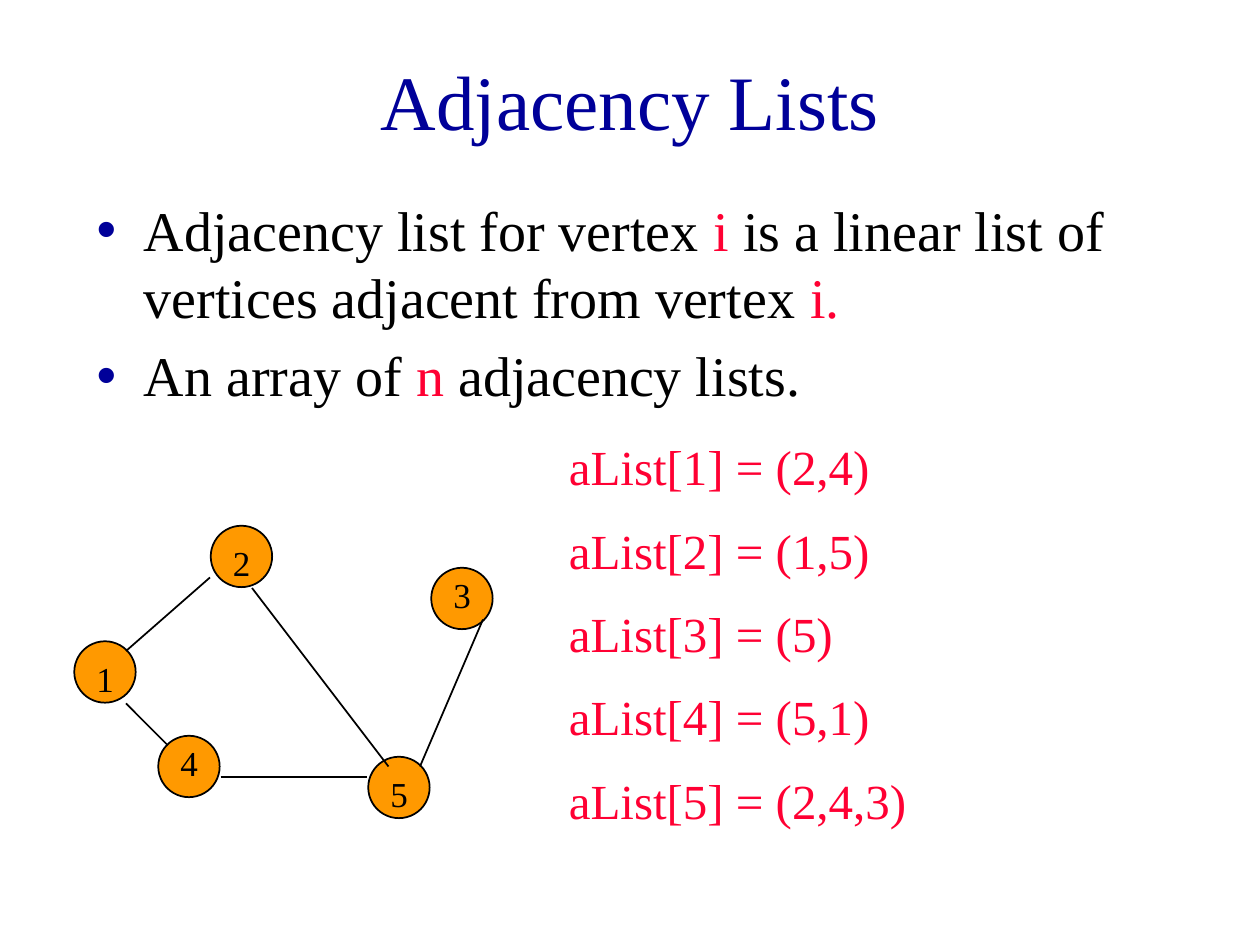
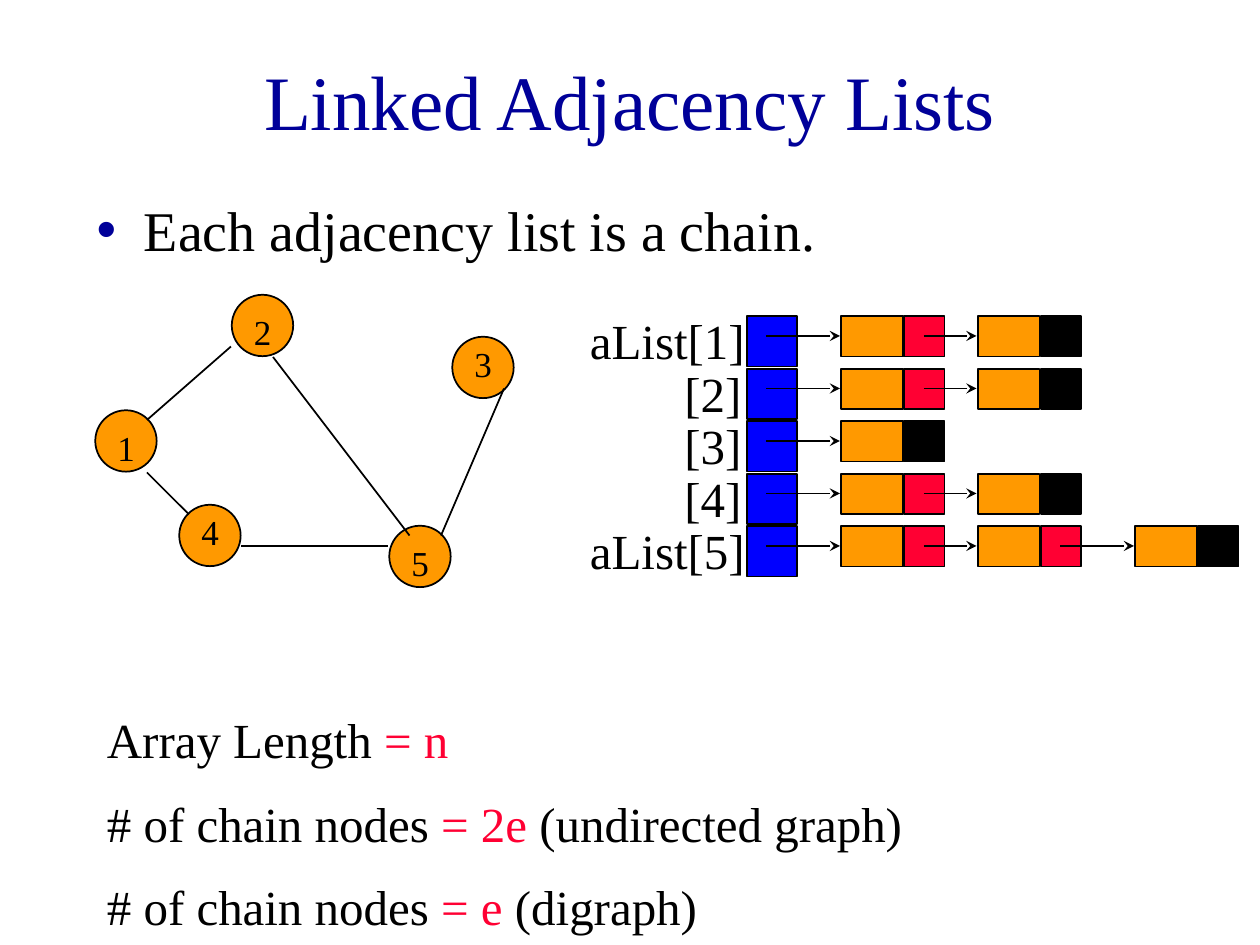
from dataclasses import dataclass

from lxml.etree import SubElement
from pptx import Presentation
from pptx.dml.color import RGBColor
from pptx.enum.shapes import MSO_CONNECTOR, MSO_SHAPE
from pptx.enum.text import MSO_ANCHOR, MSO_AUTO_SIZE, PP_ALIGN
from pptx.oxml.ns import qn
from pptx.util import Inches, Pt


@dataclass(frozen=True)
class Theme:
    font: str = "Times New Roman"
    ink: str = "000000"
    navy: str = "000099"
    red: str = "FF0033"
    gold: str = "FF9900"
    blue: str = "0000FF"
    head: int = 44
    lead: int = 32
    text: int = 28
    small: int = 20


LOOK = Theme()
COLS, ROWS = 120, 90
DISC = 5.85  # diameter of a vertex, in columns
INSET = 0.12  # gap from a grid line to the edge of a cell

LISTS = [(2, 4), (1, 5), (5,), (5, 1), (2, 4, 3)]
# vertex: centre column, centre row, rows from centre up to its label
NODES = {1: (10, 64, 2), 2: (23, 53, 2), 3: (44, 57, 3),
         4: (18, 73, 3), 5: (38, 75, 2)}
EDGES = [(20, 55, 12, 62), (24, 56, 37, 73), (12, 67, 16, 71),
         (46, 59, 40, 73), (21, 74, 35, 74)]
CELLS = [80, 93, 108]  # left columns of the chain nodes


def rgb(code):
    return RGBColor.from_string(code)


def write(frame, lines, size=LOOK.text, color=LOOK.ink, accent=LOOK.red,
          gap=0.5, align=PP_ALIGN.LEFT, dot=None):
    """Fill a frame; each "|" in a line switches between color and accent.

    gap is the space between paragraphs as a share of the type size.
    """
    frame.word_wrap = True
    for n, line in enumerate(lines):
        para = frame.paragraphs[0] if n == 0 else frame.add_paragraph()
        if dot:
            mark(para, dot)
        para.alignment = align
        para.space_before = Pt(gap * size if n else 0)
        for k, part in enumerate(line.split("|")):
            if part:
                run = para.add_run()
                run.text = part
                run.font.name = LOOK.font
                run.font.size = Pt(size)
                run.font.color.rgb = rgb(accent if k % 2 else color)


def mark(para, color):
    """Give a paragraph a coloured round bullet and a hanging indent."""
    props = para._p.get_or_add_pPr()
    props.set("marL", str(Pt(27)))
    props.set("indent", str(-Pt(27)))
    tint = SubElement(props, qn("a:buClr"))
    SubElement(tint, qn("a:srgbClr"), val=color)
    SubElement(props, qn("a:buChar"), char="•")


class Deck:
    def __init__(self):
        self.file = Presentation()
        self.file.slide_width = Inches(10)
        self.file.slide_height = Inches(7.5)
        self.slide = None

    def x(self, col):
        return round(self.file.slide_width * col / COLS)

    def y(self, row):
        return round(self.file.slide_height * row / ROWS)

    def area(self, col, row, wide, high):
        return self.x(col), self.y(row), self.x(wide), self.y(high)

    def page(self, title, points):
        self.slide = self.file.slides.add_slide(self.file.slide_layouts[1])
        head, body = self.slide.placeholders
        self.hold(head, (9, 2, 102, 15), MSO_ANCHOR.MIDDLE)
        write(head.text_frame, [title], size=LOOK.head, color=LOOK.navy,
              align=PP_ALIGN.CENTER)
        self.hold(body, (8, 18, 102, 7), MSO_ANCHOR.TOP)
        write(body.text_frame, points, size=LOOK.lead, gap=0.2, dot=LOOK.navy)

    def hold(self, box, area, anchor):
        """Move a placeholder and fix how its text sits."""
        box.left, box.top, box.width, box.height = self.area(*area)
        box.text_frame.auto_size = MSO_AUTO_SIZE.NONE
        box.text_frame.vertical_anchor = anchor

    def text(self, area, lines, **style):
        box = self.slide.shapes.add_textbox(*self.area(*area))
        write(box.text_frame, lines, **style)
        box.text_frame.auto_size = MSO_AUTO_SIZE.SHAPE_TO_FIT_TEXT

    def shape(self, kind, area, fill):
        form = self.slide.shapes.add_shape(kind, *self.area(*area))
        form.shadow.inherit = False
        form.fill.solid()
        form.fill.fore_color.rgb = rgb(fill)
        form.line.color.rgb = rgb(LOOK.ink)
        form.line.width = Pt(1)

    def cell(self, col, row, wide, high, fill):
        self.shape(MSO_SHAPE.RECTANGLE,
                   (col + INSET, row + INSET, wide, high), fill)

    def line(self, ax, ay, bx, by, arrow=False):
        link = self.slide.shapes.add_connector(
            MSO_CONNECTOR.STRAIGHT, self.x(ax), self.y(ay),
            self.x(bx), self.y(by))
        link.line.color.rgb = rgb(LOOK.ink)
        link.line.width = Pt(1)
        if arrow:
            SubElement(link.line._get_or_add_ln(), qn("a:tailEnd"),
                       type="stealth")
        SubElement(link._element.spPr, qn("a:effectLst"))

    def graph(self, dx=0, dy=0):
        for col, row, _ in NODES.values():
            self.shape(MSO_SHAPE.OVAL, (col + dx - DISC / 2,
                       row + dy - DISC / 2, DISC, DISC), LOOK.gold)
        for ax, ay, bx, by in EDGES:
            self.line(ax + dx, ay + dy, bx + dx, by + dy)
        for name, (col, row, lift) in NODES.items():
            self.text((col + dx - 2, row + dy - lift, 3, 5.2), [str(name)],
                      size=LOOK.small)

    def chain(self, row, count):
        """Draw one array slot and the linked nodes that hang from it."""
        self.cell(71, row, 4.8, 4.8, LOOK.blue)
        start = 73
        for n, col in enumerate(CELLS[:count], 1):
            self.cell(col, row, 5.88, 3.84, LOOK.gold)
            self.cell(col + 6, row, 3.84, 3.84,
                      LOOK.ink if n == count else LOOK.red)
            self.line(start, row + 2, col, row + 2, arrow=True)
            start = col + 8

    def table(self, top, step):
        """Draw every chain, with its label to the left of its slot."""
        for n, items in enumerate(LISTS):
            row = top + n * step
            self.chain(row, len(items))
            if n in (0, len(LISTS) - 1):
                self.text((55, row - 1, 18, 6.8), [f"aList[{n + 1}]"])
            else:
                self.text((64, row - 1, 8, 6.8), [f"[{n + 1}]"])


def main():
    deck = Deck()

    deck.page("Adjacency Lists", [
        "Adjacency list for vertex| i |is a linear list of vertices "
        "adjacent from vertex| i.",
        "An array of| n |adjacency lists."])
    deck.graph()
    deck.text((53, 41, 63, 40.4),
              [f"aList[{n}] = ({','.join(map(str, items))})"
               for n, items in enumerate(LISTS, 1)], color=LOOK.red)

    deck.page("Linked Adjacency Lists", ["Each adjacency list is a chain."])
    deck.graph(dx=2, dy=-22)
    deck.table(top=30, step=5)
    deck.text((9, 67, 110, 23), [
        "Array Length| = n",
        "# of chain nodes| = 2e |(undirected graph)",
        "# of chain nodes| = e |(digraph)"])

    deck.file.save("out.pptx")


if __name__ == "__main__":
    main()
